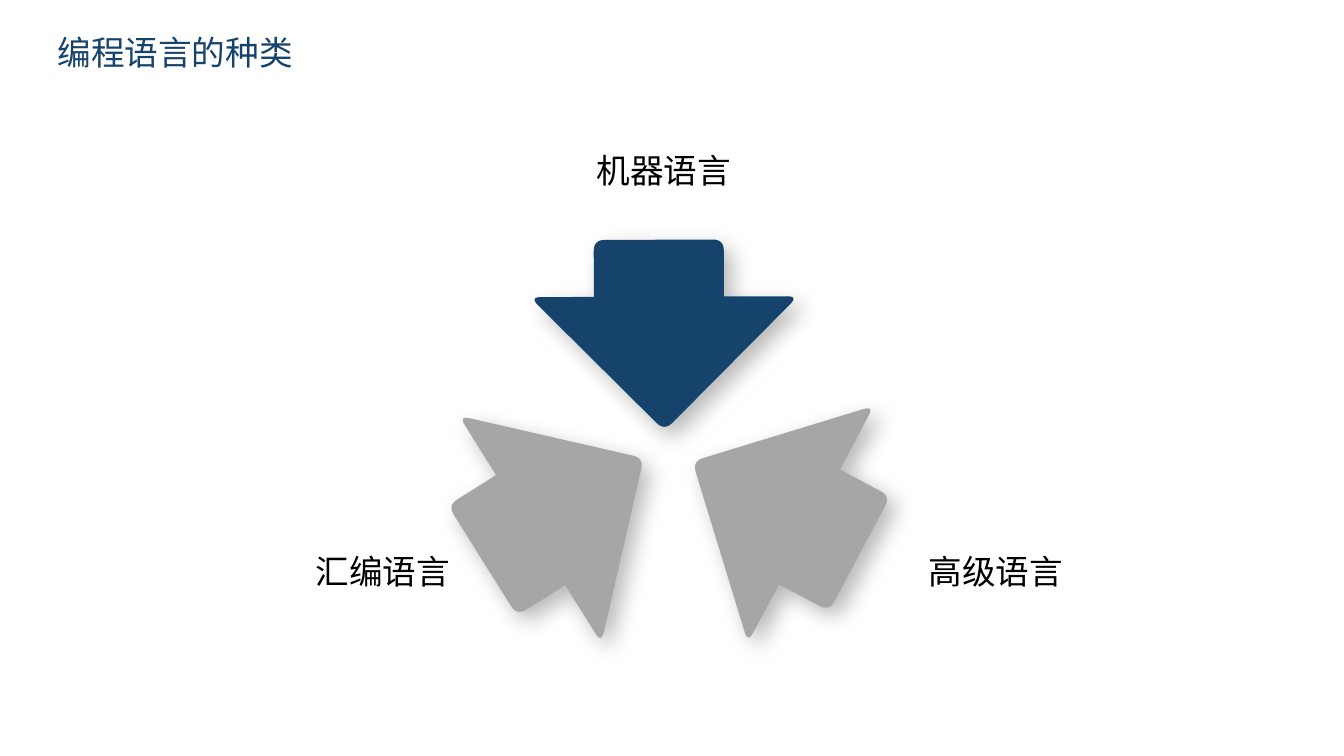
from math import cos, hypot, radians, sin

from lxml.etree import SubElement
from pptx import Presentation
from pptx.dml.color import RGBColor
from pptx.enum.text import MSO_ANCHOR, MSO_AUTO_SIZE, PP_ALIGN
from pptx.oxml.ns import qn
from pptx.util import Inches, Pt

NAVY = RGBColor(0x15, 0x43, 0x6B)
GREY = RGBColor(0xA6, 0xA6, 0xA6)
BLACK = RGBColor(0, 0, 0)


def toward(start, end, distance):
    share = distance / hypot(end[0] - start[0], end[1] - start[1])
    return tuple(a + (b - a) * share for a, b in zip(start, end))


def rounded(corners, trim=0.11, steps=8):
    outline = []
    for index, corner in enumerate(corners):
        before = toward(corner, corners[index - 1], trim)
        after = toward(corner, corners[(index + 1) % len(corners)], trim)
        for step in range(steps + 1):
            t = step / steps
            outline.append(tuple(
                (1 - t) ** 2 * a + 2 * t * (1 - t) * b + t ** 2 * c
                for a, b, c in zip(before, corner, after)
            ))
    return outline


def arrow_outline(shaft_shift):
    tip, neck, tail, barb, half_shaft = 1.285, -0.045, -0.61, 1.33, 0.645
    left, right = shaft_shift - half_shaft, shaft_shift + half_shaft
    head = rounded([(barb, neck), (0, tip), (-barb, neck)])
    shaft = rounded([(left, neck), (left, tail), (right, tail), (right, neck)])
    corner_points = len(shaft) // 4
    return (head + [(left, neck)] + shaft[corner_points:-corner_points]
            + [(right, neck)])


class LanguageSlide:
    columns, rows = 100, 100
    font_size = Pt(24)
    label_font = "Arial"
    title_font = "Noto Sans CJK SC"

    def __init__(self):
        self.deck = Presentation()
        self.deck.slide_width = Inches(13.33)
        self.deck.slide_height = Inches(7.5)
        self.slide = self.deck.slides.add_slide(self.deck.slide_layouts[5])

    def x(self, column):
        return round(self.deck.slide_width * column / self.columns)

    def y(self, row):
        return round(self.deck.slide_height * row / self.rows)

    def set_text(self, box, wording, font_name, color, wrap):
        frame = box.text_frame
        frame.text = wording
        frame.word_wrap = wrap
        frame.auto_size = MSO_AUTO_SIZE.SHAPE_TO_FIT_TEXT
        frame.vertical_anchor = MSO_ANCHOR.TOP
        paragraph = frame.paragraphs[0]
        paragraph.alignment = PP_ALIGN.LEFT
        paragraph.font.size = self.font_size
        paragraph.font.name = font_name
        paragraph.font.color.rgb = color

    def title(self, wording, column, row, width, height):
        heading = self.slide.shapes.title
        heading.left, heading.top = self.x(column), self.y(row)
        heading.width, heading.height = self.x(width), self.y(height)
        self.set_text(heading, wording, self.title_font, NAVY, False)

    def label(self, wording, column, row, width, height):
        box = self.slide.shapes.add_textbox(
            self.x(column), self.y(row), self.x(width), self.y(height))
        self.set_text(box, wording, self.label_font, BLACK, True)

    def arrow(self, column, row, turn, rotation, shaft_shift, color):
        angle = radians(turn)
        points = [
            (self.x(column) + Inches(a * cos(angle) - b * sin(angle)),
             self.y(row) + Inches(a * sin(angle) + b * cos(angle)))
            for a, b in arrow_outline(shaft_shift)
        ]
        builder = self.slide.shapes.build_freeform(*points[0])
        builder.add_line_segments(points[1:], close=True)
        arrow = builder.convert_to_shape()
        arrow.rotation = rotation
        arrow.fill.solid()
        arrow.fill.fore_color.rgb = color
        arrow.line.fill.background()
        self.cast_shadow(arrow)

    def cast_shadow(self, shape):
        shape.shadow.inherit = False
        effects = shape.element.spPr.find(qn("a:effectLst"))
        shadow = SubElement(
            effects, qn("a:outerShdw"), blurRad=str(Pt(16)), dist=str(Pt(8)),
            dir="2700000", algn="tl", rotWithShape="0")
        tint = SubElement(shadow, qn("a:srgbClr"), val=str(BLACK))
        SubElement(tint, qn("a:alpha"), val="28000")

    def save(self):
        self.deck.save("out.pptx")


def main():
    page = LanguageSlide()
    page.arrow(49.47, 39.8, -45, 44.8, -0.05, NAVY)
    page.arrow(60.05, 69.27, 45, 73, 0.03, GREY)
    page.arrow(39.72, 69.67, -135, 12.9, -0.01, GREY)
    page.title("编程语言的种类", 3.53, 3.6, 19.2, 6.67)
    page.label("机器语言", 43.66, 19.2, 27.08, 6.67)
    for wording, column in (("汇编语言", 22.73), ("高级语言", 68.34)):
        page.label(wording, column, 72.27, 15.38, 6.67)
    page.save()


if __name__ == "__main__":
    main()
